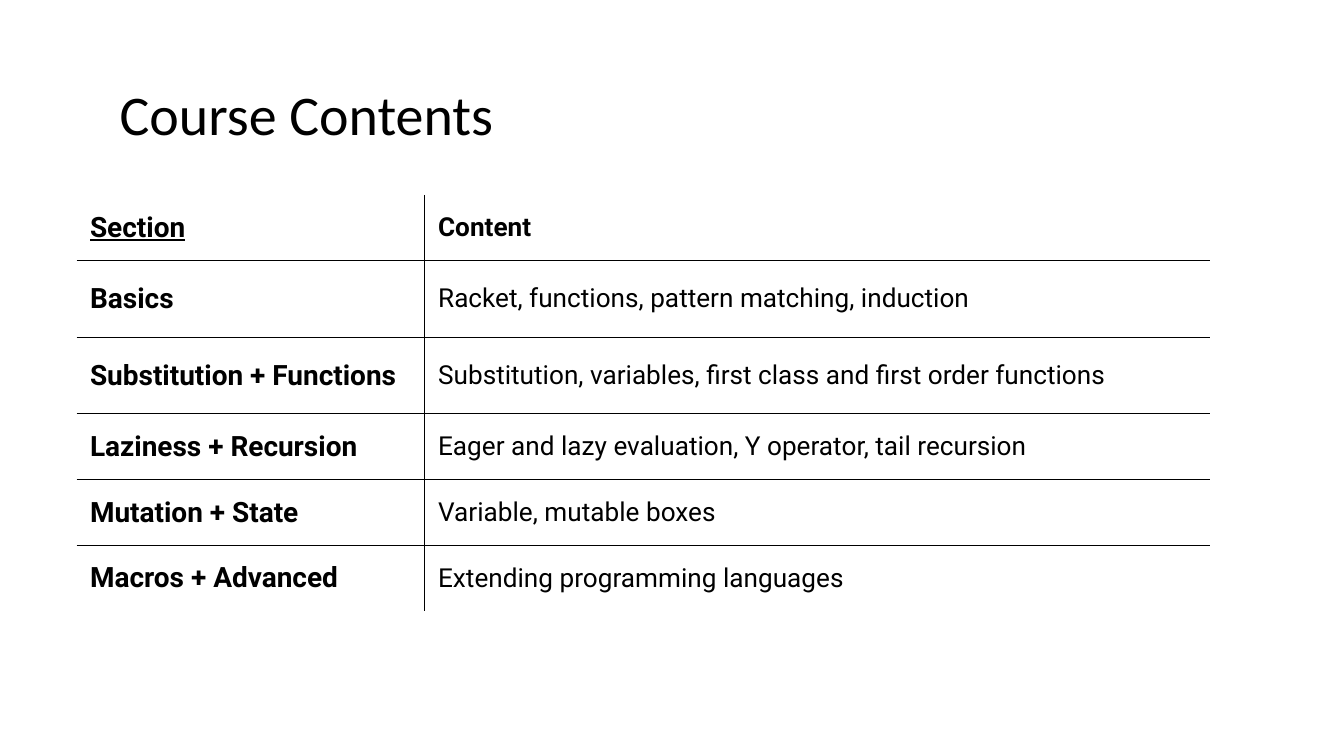
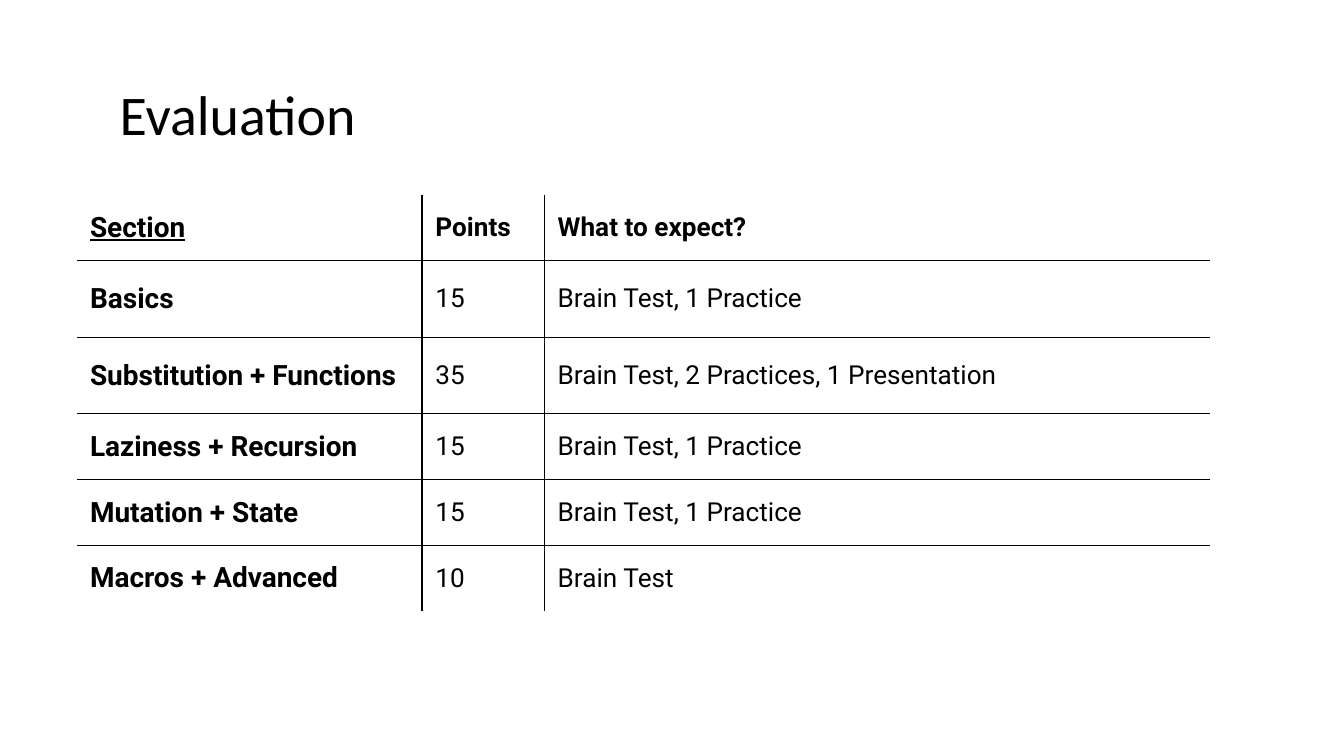
from lxml.etree import SubElement
from pptx import Presentation
from pptx.dml.color import RGBColor
from pptx.enum.text import MSO_ANCHOR, MSO_AUTO_SIZE, PP_ALIGN
from pptx.oxml.ns import qn
from pptx.util import Inches, Pt

BLACK = RGBColor(0, 0, 0)
TITLE_FONT = "Calibri"
TABLE_FONT = "Roboto"
BORDER_WIDTH = Pt(0.75)
PAGE_WIDTH = Inches(10)
PAGE_HEIGHT = PAGE_WIDTH * 9 // 16
TABLE_FRAME = Inches(3.28)
ROW_HEIGHTS = [0.49, 0.57, 0.57, 0.49, 0.49, 0.49]

CONTENTS = [
    ["Section", "Content"],
    ["Basics", "Racket, functions, pattern matching, induction"],
    ["Substitution + Functions",
     "Substitution, variables, first class and first order functions"],
    ["Laziness + Recursion", "Eager and lazy evaluation, Y operator, tail recursion"],
    ["Mutation + State", "Variable, mutable boxes"],
    ["Macros + Advanced", "Extending programming languages"],
]
EVALUATION = [
    ["Section", "Points", "What to expect?"],
    ["Basics", "15", "Brain Test, 1 Practice"],
    ["Substitution + Functions", "35", "Brain Test, 2 Practices, 1 Presentation"],
    ["Laziness + Recursion", "15", "Brain Test, 1 Practice"],
    ["Mutation + State", "15", "Brain Test, 1 Practice"],
    ["Macros + Advanced", "10", "Brain Test"],
]


def set_values(target, values):
    for name, value in values.items():
        setattr(target, name, value)


class CourseDeck:
    def __init__(self):
        self.deck = Presentation()
        set_values(self.deck, {"slide_width": PAGE_WIDTH, "slide_height": PAGE_HEIGHT})
        self.page = None

    def add_page(self, title):
        self.page = self.deck.slides.add_slide(self.deck.slide_layouts[5])
        box = self.page.shapes.title
        set_values(box, {"left": Inches(0.79), "top": Inches(0.49),
                         "width": Inches(8.43), "height": Inches(0.63)})
        frame = box.text_frame
        sides = ("left", "right", "top", "bottom")
        set_values(frame, {f"margin_{side}": Inches(0.1) for side in sides})
        set_values(frame, {"text": title, "word_wrap": True,
                           "auto_size": MSO_AUTO_SIZE.NONE,
                           "vertical_anchor": MSO_ANCHOR.TOP})
        para = frame.paragraphs[0]
        para.alignment = PP_ALIGN.LEFT
        self.style_font(para.runs[0].font, name=TITLE_FONT, size=Pt(30))

    def style_font(self, font, **values):
        set_values(font, values)
        font.color.rgb = BLACK

    def add_grid(self, rows, widths):
        """Add a table that has rules only between its cells."""
        holder = self.page.shapes.add_table(
            len(rows), len(widths), Inches(0.57), Inches(1.45),
            TABLE_FRAME, TABLE_FRAME)
        table = holder.table
        set_values(table, {"first_row": False, "horz_banding": False})
        for column, width in zip(table.columns, widths):
            column.width = Inches(width)
        for row, height in zip(table.rows, ROW_HEIGHTS):
            row.height = Inches(height)
        set_values(holder, {"width": TABLE_FRAME, "height": TABLE_FRAME})
        for row_index, row in enumerate(rows):
            for column_index, text in enumerate(row):
                cell = table.cell(row_index, column_index)
                self.fill_cell(cell, text, row_index == 0, column_index == 0)
                self.add_borders(cell, {
                    "L": column_index > 0,
                    "R": column_index < len(widths) - 1,
                    "T": row_index > 0,
                    "B": row_index < len(rows) - 1,
                })
                cell.fill.background()

    def fill_cell(self, cell, text, is_header, is_section):
        set_values(cell, {"text": text, "vertical_anchor": MSO_ANCHOR.MIDDLE,
                          "margin_left": Inches(0.1), "margin_right": Inches(0.1),
                          "margin_top": 0, "margin_bottom": 0})
        para = cell.text_frame.paragraphs[0]
        if not is_section:
            para.space_after = Pt(16)
        self.style_font(para.runs[0].font, name=TABLE_FONT,
                        size=Pt(15 if is_section else 14),
                        bold=is_header or is_section,
                        underline=is_header and is_section)

    def add_borders(self, cell, sides):
        properties = cell._tc.get_or_add_tcPr()
        for side, visible in sides.items():
            line = SubElement(properties, qn(f"a:ln{side}"), w=str(BORDER_WIDTH))
            if visible:
                fill = SubElement(line, qn("a:solidFill"))
                SubElement(fill, qn("a:srgbClr"), val=str(BLACK))
            else:
                SubElement(line, qn("a:noFill"))


def main():
    course = CourseDeck()
    course.add_page("Course Contents")
    course.add_grid(CONTENTS, [2.59, 5.84])
    course.add_page("Evaluation")
    course.add_grid(EVALUATION, [2.57, 0.91, 4.95])
    course.deck.save("out.pptx")


if __name__ == "__main__":
    main()
